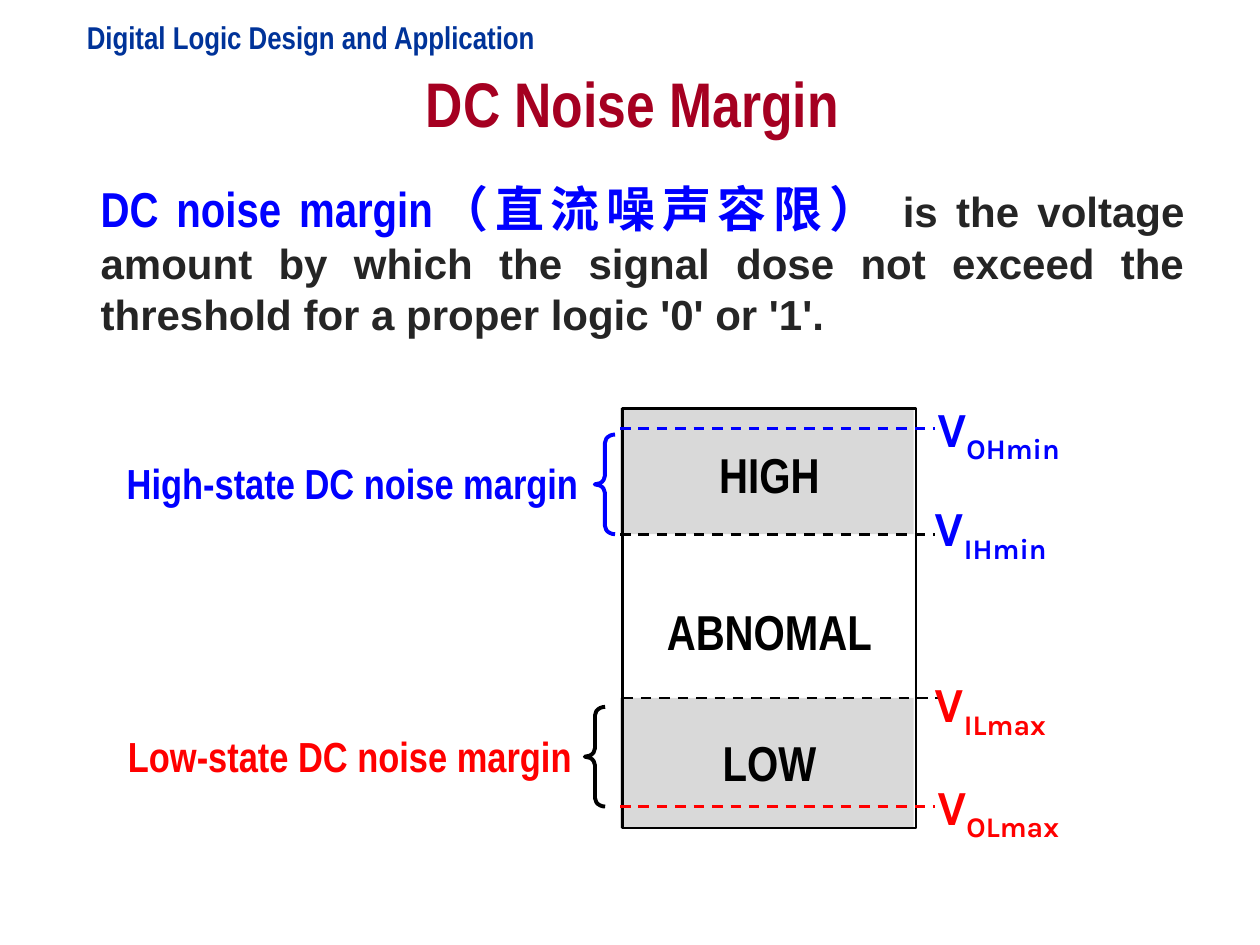
from lxml import etree
from pptx import Presentation
from pptx import util as u
from pptx.dml.color import RGBColor
from pptx.enum import dml, shapes, text
from pptx.oxml.ns import qn

COLORS = {"navy": "003399", "crimson": "A50021", "blue": "0000FF", "red": "FF0000",
          "black": "000000", "ink": "252525", "band": "D9D9D9"}
NARROW, KARLA, ARIAL = "Arial Narrow", "Karla", "Arial"

HEADER = "Digital Logic Design and Application"
TITLE = "DC Noise Margin"
TERM = "DC noise margin（直流噪声容限） "
MEANING = ("is the voltage amount by which the signal dose not exceed the "
           "threshold for a proper logic '0' or '1'.")
ZONES = [("HIGH", 0), ("ABNOMAL", 56), ("LOW", 41)]
LEVELS = [
    ("OHmin", 8.64, "blue", "blue", 12.5, 18.64, 7.9),
    ("IHmin", 10.77, "black", "blue", 12.5, 18.59, 9.91),
    ("ILmax", 14.07, "black", "red", 12.55, 18.59, 13.46),
    ("OLmax", 16.26, "red", "red", 12.5, 18.64, 15.52),
]
MARGINS = [
    ("High-state DC noise margin", "blue", "blue", 11.99, 10.77, 2.26, 9.65, 9.09),
    ("Low-state DC noise margin", "red", "black", 11.79, 16.26, 2.31, 9.47, 14.6),
]
STACK_LEFT, STACK_TOP, STACK_WIDTH, STACK_BOTTOM = 12.55, 8.23, 5.92, 16.69
LINE_LENGTH = 6.35
BRACE_WIDTH, BRACE_HEIGHT = 0.41, 2.01


def rgb(name):
    return RGBColor.from_string(COLORS[name])


def write(para, words, size, color, font=NARROW, align=None, before=None,
          spacing=None, subscript=False):
    span = para.add_run()
    span.text = words
    span.font.name, span.font.size, span.font.bold = font, u.Pt(size), True
    span.font.color.rgb = rgb(color)
    if subscript:
        span.font._element.set("baseline", "-25000")
    if align is not None:
        para.alignment = align
    if before:
        para.space_before = u.Pt(before)
    if spacing:
        para.line_spacing = spacing


def add_box(page, left, top, width, height, wrap=False, anchor=text.MSO_ANCHOR.TOP):
    box = page.shapes.add_textbox(u.Cm(left), u.Cm(top), u.Cm(width), u.Cm(height))
    box.text_frame.word_wrap = wrap
    box.text_frame.vertical_anchor = anchor
    return box.text_frame.paragraphs[0]


def add_shape(page, kind, left, top, width, height, fill=None, line=None, weight=1.5):
    shape = page.shapes.add_shape(kind, u.Cm(left), u.Cm(top), u.Cm(width), u.Cm(height))
    shape.shadow.inherit = False
    if fill:
        shape.fill.solid()
        shape.fill.fore_color.rgb = rgb(fill)
    else:
        shape.fill.background()
    if line:
        shape.line.color.rgb = rgb(line)
        shape.line.width = u.Pt(weight)
    else:
        shape.line.fill.background()
    return shape


def add_level(page, left, y, color):
    line = page.shapes.add_connector(shapes.MSO_CONNECTOR.STRAIGHT, u.Cm(left), u.Cm(y),
                                     u.Cm(left + LINE_LENGTH), u.Cm(y))
    line.line.color.rgb = rgb(color)
    line.line.width = u.Pt(1.5)
    line.line.dash_style = dml.MSO_LINE.DASH
    etree.SubElement(line._element.spPr, qn("a:effectLst"))


def add_stack(page):
    rectangle = shapes.MSO_SHAPE.RECTANGLE
    for top, bottom in [(STACK_TOP, LEVELS[1][1]), (LEVELS[2][1], STACK_BOTTOM)]:
        add_shape(page, rectangle, STACK_LEFT - 0.05, top, STACK_WIDTH, bottom - top, "band")
    stack = add_shape(page, rectangle, STACK_LEFT, STACK_TOP, STACK_WIDTH,
                      STACK_BOTTOM - STACK_TOP, line="black")
    frame = stack.text_frame
    frame.word_wrap = False
    for index, (zone, before) in enumerate(ZONES):
        para = frame.add_paragraph() if index else frame.paragraphs[0]
        write(para, zone, 28, "black", align=text.PP_ALIGN.CENTER, before=before)


def main():
    deck = Presentation()
    deck.slide_width, deck.slide_height = u.Cm(25.4), u.Cm(19.05)
    page = deck.slides.add_slide(deck.slide_layouts[6])

    write(add_box(page, 1.5, 0.33, 9.58, 0.94), HEADER, 18, "navy", spacing=0.9)
    write(add_box(page, 0.05, 1.12, 25.4, 1.83, True, text.MSO_ANCHOR.BOTTOM),
          TITLE, 36, "crimson", align=text.PP_ALIGN.CENTER)
    para = add_box(page, 1.78, 3.48, 22.35, 3.5, True)
    write(para, TERM, 28, "blue", align=text.PP_ALIGN.JUSTIFY)
    write(para, MEANING, 24, "ink", ARIAL)

    add_stack(page)
    for name, y, line_color, color, left, label_left, label_top in LEVELS:
        add_level(page, left, y, line_color)
        para = add_box(page, label_left, label_top, 3.4, 1.45)
        write(para, "V", 28, color, KARLA)
        write(para, name, 28, color, KARLA, subscript=True)

    for words, color, brace_color, brace_left, bottom, left, width, top in MARGINS:
        brace = add_shape(page, shapes.MSO_SHAPE.LEFT_BRACE, brace_left,
                          bottom - BRACE_HEIGHT, BRACE_WIDTH, BRACE_HEIGHT,
                          line=brace_color, weight=2.25)
        brace.adjustments[0] = 0.42
        write(add_box(page, left, top, width, 1.27), words, 24, color,
              align=text.PP_ALIGN.RIGHT)

    deck.save("out.pptx")


if __name__ == "__main__":
    main()
